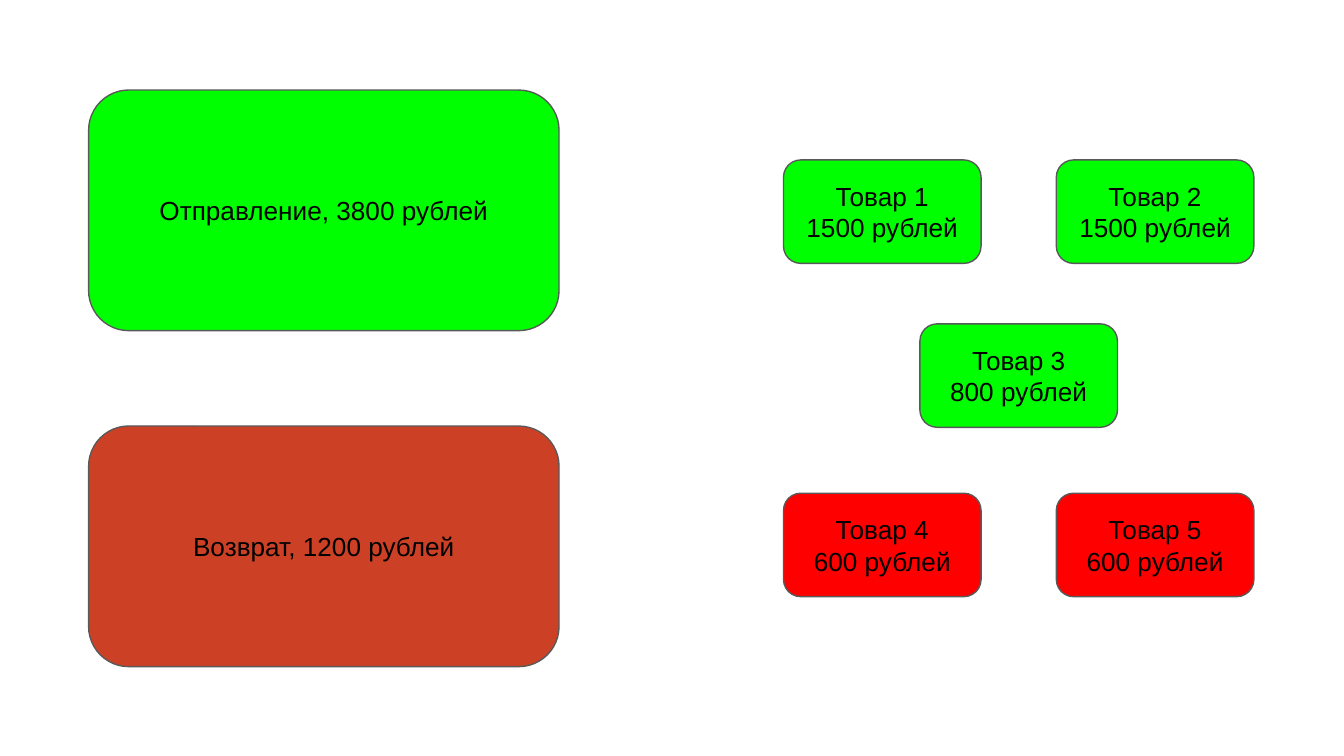
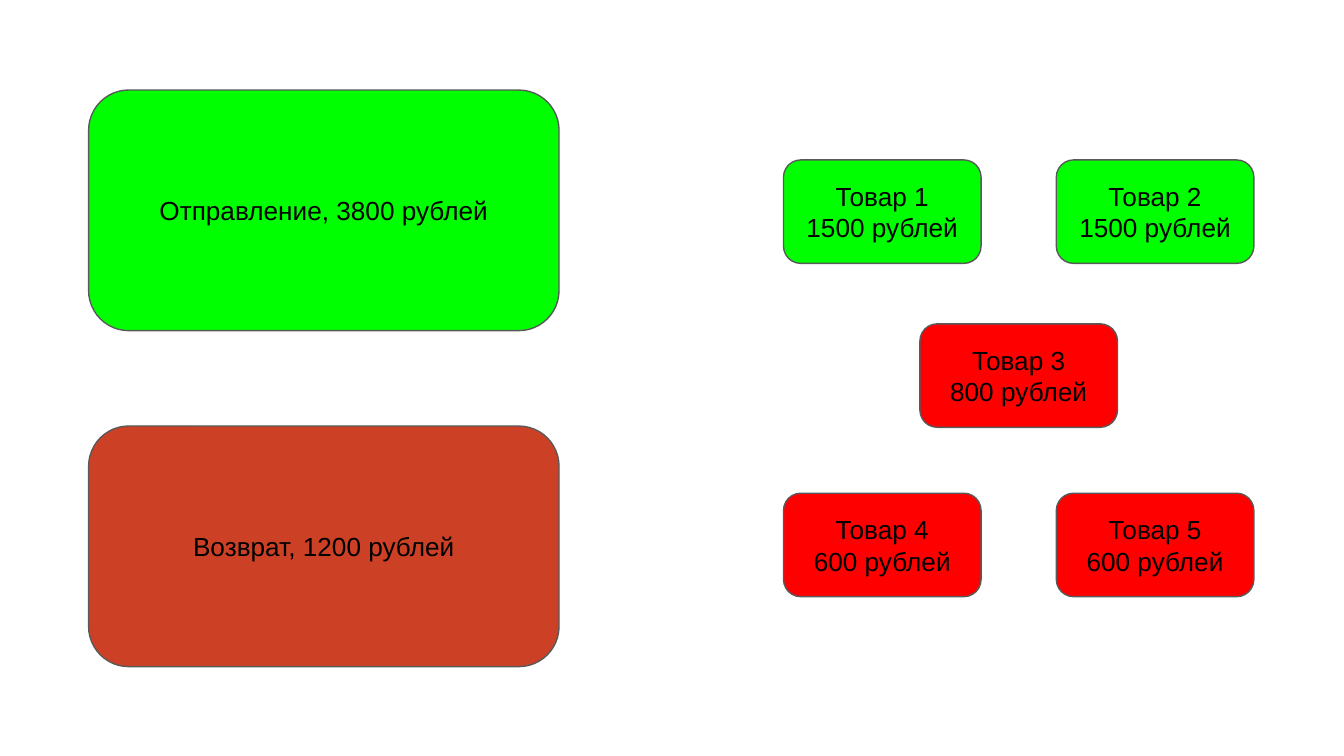
from pptx import Presentation
from pptx.dml.color import RGBColor
from pptx.enum.shapes import MSO_SHAPE
from pptx.enum.text import MSO_ANCHOR, PP_ALIGN
from pptx.util import Inches, Pt

GREEN = RGBColor(0x00, 0xFF, 0x00)
RED = RGBColor(0xFF, 0x00, 0x00)
BRICK = RGBColor(0xCC, 0x41, 0x25)
OUTLINE = RGBColor(0x59, 0x59, 0x59)
BLACK = RGBColor(0x00, 0x00, 0x00)

FONT = "Arial"
PARCEL_LEFT, PARCEL_TOP, PARCEL_STEP = 0.66, 0.67, 2.5
PARCEL_SIZE = (3.5, 1.79)
ITEM_LEFT, ITEM_COLUMN_STEP = 5.83, 2.03
ITEM_ROW_TOPS = (1.19, 2.41, 3.67)
ITEM_SIZE = (1.47, 0.77)

PARCELS = [
    ("Отправление, 3800 рублей", GREEN),
    ("Возврат, 1200 рублей", BRICK),
]
ITEMS = [
    (1, 1500, 0, 0),
    (2, 1500, 1, 0),
    (4, 600, 0, 2),
    (5, 600, 1, 2),
    (3, 800, 0.5, 1),
]
RETURNED_BY_SLIDE = [{4, 5}, {3, 4, 5}]


def add_card(slide, left, top, size, text, color):
    card = slide.shapes.add_shape(
        MSO_SHAPE.FLOWCHART_ALTERNATE_PROCESS,
        Inches(left), Inches(top), *map(Inches, size))
    card.shadow.inherit = False
    card.fill.solid()
    card.fill.fore_color.rgb = color
    card.line.color.rgb = OUTLINE
    card.line.width = Pt(0.75)
    frame = card.text_frame
    frame.word_wrap = True
    frame.vertical_anchor = MSO_ANCHOR.MIDDLE
    frame.margin_left = frame.margin_right = Inches(0.1)
    frame.margin_top = frame.margin_bottom = Inches(0.1)
    frame.text = text
    for paragraph in frame.paragraphs:
        paragraph.alignment = PP_ALIGN.CENTER
        for run in paragraph.runs:
            run.font.name = FONT
            run.font.size = Pt(14)
            run.font.color.rgb = BLACK


def add_parcels(slide):
    for row, (text, color) in enumerate(PARCELS):
        add_card(slide, PARCEL_LEFT, PARCEL_TOP + row * PARCEL_STEP,
                 PARCEL_SIZE, text, color)


def add_items(slide, returned):
    for number, price, column, row in ITEMS:
        add_card(slide, ITEM_LEFT + column * ITEM_COLUMN_STEP,
                 ITEM_ROW_TOPS[row], ITEM_SIZE,
                 f"Товар {number}\n{price} рублей",
                 RED if number in returned else GREEN)


def main():
    presentation = Presentation()
    presentation.slide_width = Inches(10)
    presentation.slide_height = Inches(10 * 9 / 16)
    blank = presentation.slide_layouts[6]
    for returned in RETURNED_BY_SLIDE:
        slide = presentation.slides.add_slide(blank)
        add_parcels(slide)
        add_items(slide, returned)
    presentation.save("out.pptx")


if __name__ == "__main__":
    main()
